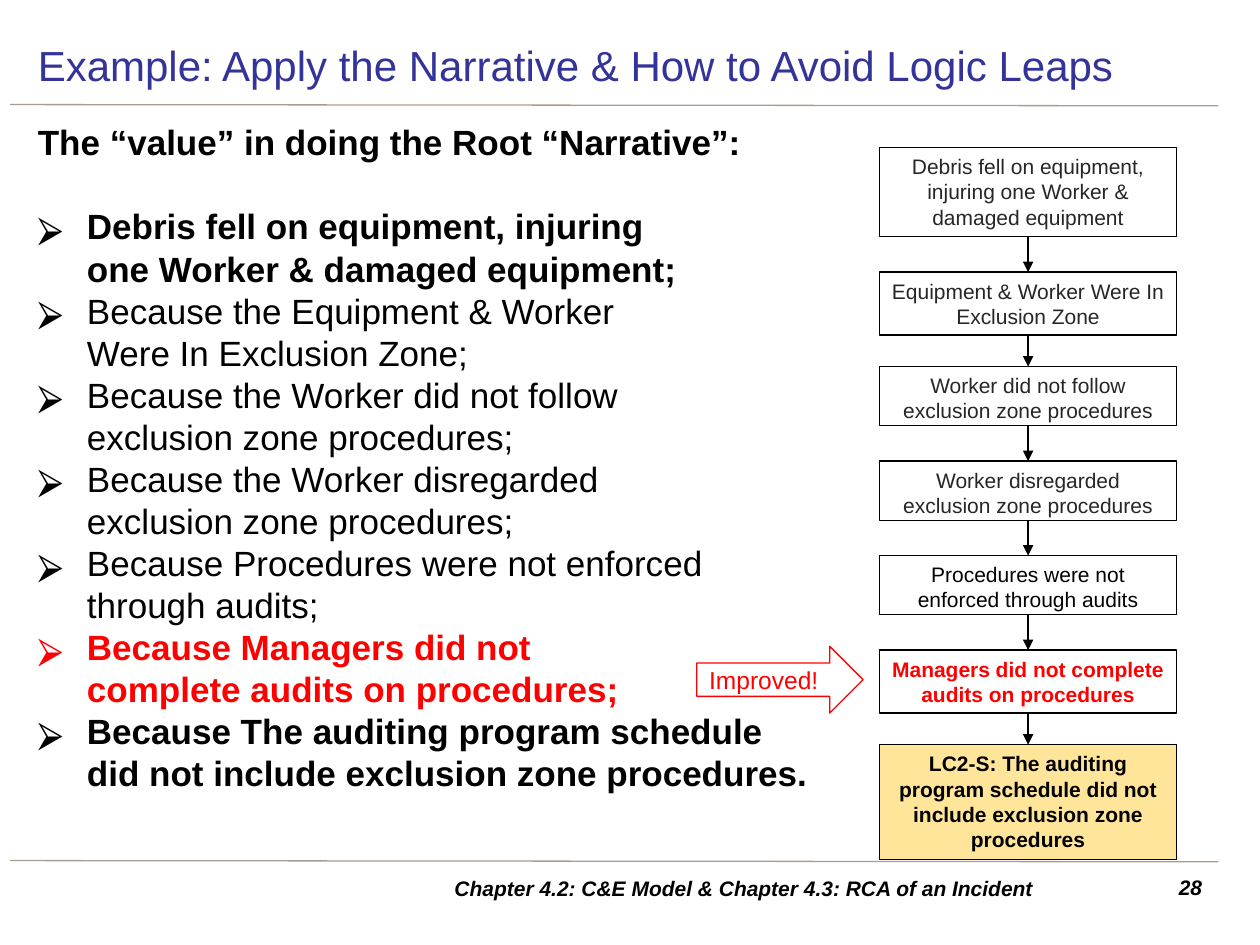
from lxml.etree import SubElement
from pptx import Presentation
from pptx.dml.color import RGBColor
from pptx.enum.shapes import MSO_CONNECTOR, MSO_SHAPE
from pptx.enum.text import MSO_ANCHOR, MSO_AUTO_SIZE, PP_ALIGN
from pptx.oxml.ns import qn
from pptx.util import Inches, Pt

COLORS = {"title": "333399", "text": "000000", "step": "262626", "accent": "FF0000",
          "rule": "AA9C8F", "paper": "FFFFFF", "cause": "FEE599"}

HEADING = "The “value” in doing the Root “Narrative”:"
NARRATIVE = [
    ("Debris fell on equipment, injuring \vone Worker & damaged equipment;", "text", True),
    ("Because the Equipment & Worker \vWere In Exclusion Zone;", "text", False),
    ("Because the Worker did not follow \vexclusion zone procedures;", "text", False),
    ("Because the Worker disregarded \vexclusion zone procedures;", "text", False),
    ("Because Procedures were not enforced \vthrough audits;", "text", False),
    ("Because Managers did not \vcomplete audits on procedures;", "accent", True),
    ("Because The auditing program schedule\vdid not include exclusion zone procedures.",
     "text", True),
]
# text, height, text colour, fill, bold
STEPS = [
    ("Debris fell on equipment, injuring one Worker & damaged equipment",
     0.71, "step", "paper", False),
    ("Equipment & Worker Were In Exclusion Zone", 0.5, "step", "paper", False),
    ("Worker did not follow exclusion zone procedures", 0.47, "step", "paper", False),
    ("Worker disregarded exclusion zone procedures", 0.47, "step", "paper", False),
    ("Procedures were not enforced through audits", 0.47, "text", "paper", False),
    ("Managers did not complete audits on procedures", 0.5, "accent", "paper", True),
    ("LC2-S: The auditing program schedule did not include exclusion zone procedures",
     0.91, "text", "cause", True),
]


def rgb(name):
    return RGBColor.from_string(COLORS[name])


def place(sp, box):
    for name, value in zip(("left", "top", "width", "height"), box):
        setattr(sp, name, Inches(value))


def frame(sp, anchor):
    tf = sp.text_frame
    settings = {"word_wrap": True, "auto_size": MSO_AUTO_SIZE.NONE, "vertical_anchor": anchor,
                "margin_left": Inches(0.1), "margin_right": Inches(0.1),
                "margin_top": Inches(0.05), "margin_bottom": Inches(0.05)}
    for name, value in settings.items():
        setattr(tf, name, value)
    return tf


def write(p, text, size, color, align=PP_ALIGN.LEFT, **styles):
    p.text = text
    p.alignment = align
    p.space_before = p.space_after = Pt(0)
    formats = {"name": "Arial", "size": Pt(size), "bold": False, **styles}
    for r in p.runs:
        for name, value in formats.items():
            setattr(r.font, name, value)
        r.font.color.rgb = rgb(color)


def set_bullet(p, color=None, indent=0):
    """Give the paragraph an arrow bullet, or none when there is no color."""
    pPr = p._p.get_or_add_pPr()
    pPr.set("marL", str(Inches(indent)))
    pPr.set("indent", str(-Inches(indent)))
    if color is None:
        SubElement(pPr, qn("a:buNone"))
        return
    SubElement(SubElement(pPr, qn("a:buClr")), qn("a:srgbClr"), val=COLORS[color])
    SubElement(pPr, qn("a:buFont"), typeface="Noto Sans Symbols")
    SubElement(pPr, qn("a:buChar"), char="⮚")


def add_line(s, start, end, color, arrow=False):
    points = [Inches(v) for v in (*start, *end)]
    line = s.shapes.add_connector(MSO_CONNECTOR.STRAIGHT, *points)
    line.line.color.rgb = rgb(color)
    line.line.width = Pt(0.75)
    if arrow:
        SubElement(line.line._get_or_add_ln(), qn("a:tailEnd"), type="triangle")
    SubElement(line._element.spPr, qn("a:effectLst"))


def add_box(s, kind, box, fill, outline, anchor):
    sp = s.shapes.add_shape(kind, *[Inches(v) for v in box])
    sp.shadow.inherit = False
    sp.fill.solid()
    sp.fill.fore_color.rgb = rgb(fill)
    sp.line.color.rgb = rgb(outline)
    sp.line.width = Pt(0.75)
    return frame(sp, anchor).paragraphs[0]


def add_title(s, box):
    place(s.shapes.title, box)
    tf = frame(s.shapes.title, MSO_ANCHOR.MIDDLE)
    write(tf.paragraphs[0], "Example: Apply the Narrative & How to Avoid Logic Leaps", 24, "title")


def add_narrative(s, box):
    body = s.placeholders[1]
    place(body, box)
    tf = frame(body, MSO_ANCHOR.TOP)
    write(tf.paragraphs[0], HEADING, 20, "text", bold=True)
    set_bullet(tf.paragraphs[0])
    for i, (text, color, bold) in enumerate(NARRATIVE):
        p = tf.add_paragraph()
        write(p, text, 20, color, bold=bold)
        if i == 0:
            p.space_before = Pt(24)
        set_bullet(p, color, 0.39)


def add_flow(s, box, first_pitch=0.99, pitch=0.75):
    """Stack the steps on a fixed pitch; the taller first step has its own."""
    left, top, width = box
    middle = left + width / 2
    bottom = None
    for i, (text, height, color, fill, bold) in enumerate(STEPS):
        y = top + (first_pitch + (i - 1) * pitch if i else 0)
        p = add_box(s, MSO_SHAPE.RECTANGLE, (left, y, width, height), fill, "text", MSO_ANCHOR.TOP)
        write(p, text, 12, color, PP_ALIGN.CENTER, bold=bold)
        if bottom is not None:
            add_line(s, (middle, bottom), (middle, y), "text", arrow=True)
        bottom = y + height


def add_callout(s, box):
    p = add_box(s, MSO_SHAPE.RIGHT_ARROW, box, "paper", "accent", MSO_ANCHOR.MIDDLE)
    write(p, "Improved!", 14, "accent")


def add_footer(s, box):
    left, top, width, height = box
    number_width = 0.58
    parts = [
        ("Chapter 4.2: C&E Model & Chapter 4.3: RCA of an Incident",
         left, 5.91, PP_ALIGN.CENTER, MSO_ANCHOR.MIDDLE),
        ("28", left + width - number_width, number_width, PP_ALIGN.RIGHT, MSO_ANCHOR.TOP),
    ]
    for text, x, w, align, anchor in parts:
        sp = s.shapes.add_textbox(*[Inches(v) for v in (x, top, w, height)])
        write(frame(sp, anchor).paragraphs[0], text, 12, "text", align, bold=True, italic=True)


def main():
    prs = Presentation()
    prs.slide_width, prs.slide_height = Inches(10), Inches(7.5)
    s = prs.slides.add_slide(prs.slide_layouts[1])
    for y in (0.83, 6.83):
        add_line(s, (0.08, y), (9.67, y + 0.01), "rule")
    add_narrative(s, (0.2, 0.91, 9.45, 5.83))
    add_title(s, (0.2, 0.24, 9.45, 0.55))
    add_footer(s, (2.95, 6.89, 6.69, 0.31))
    add_flow(s, (6.98, 1.17, 2.36))
    add_callout(s, (5.53, 5.13, 1.32, 0.53))
    prs.save("out.pptx")


if __name__ == "__main__":
    main()
